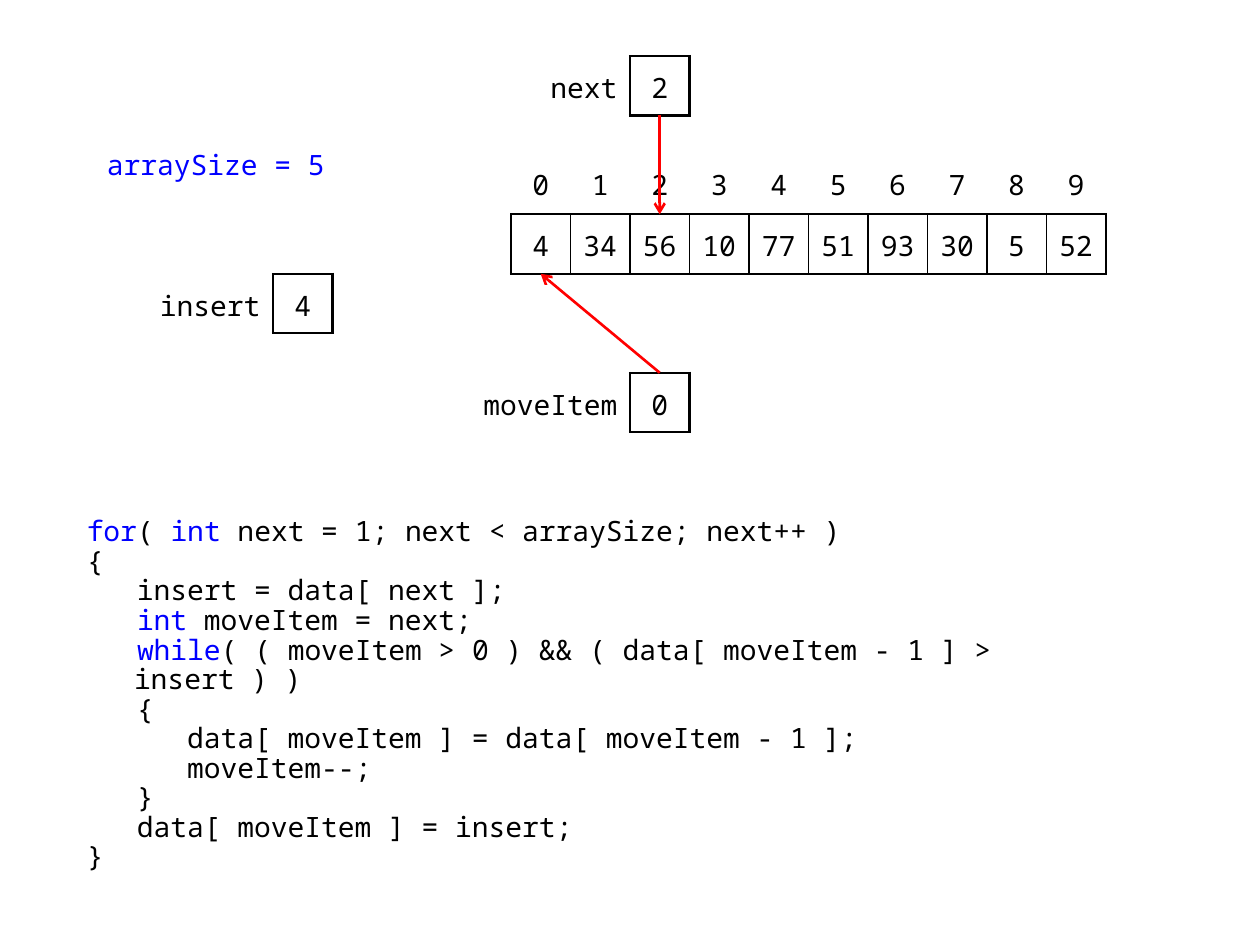
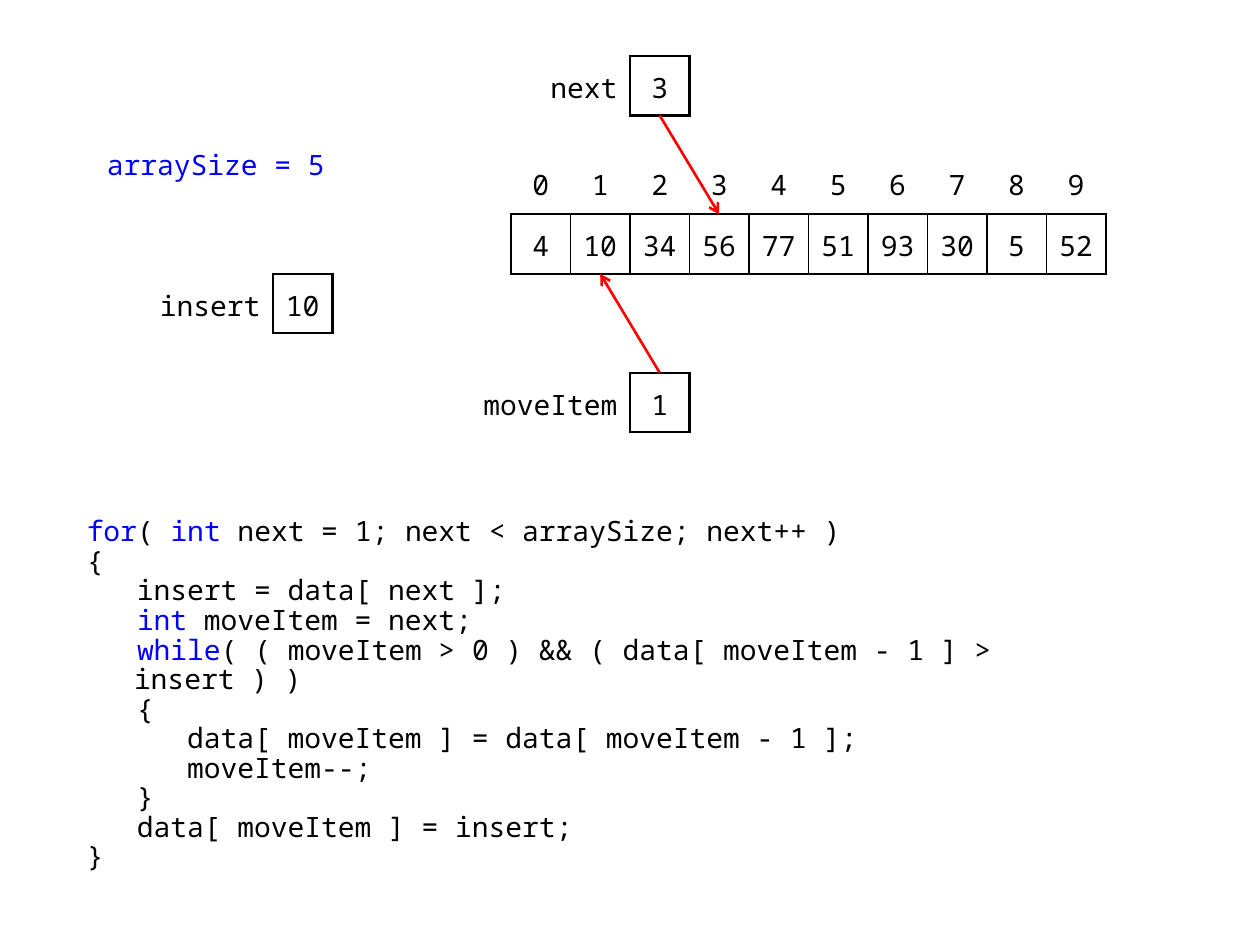
from dataclasses import dataclass
from pptx import Presentation
from pptx.dml.color import RGBColor
from pptx.enum.shapes import MSO_CONNECTOR
from pptx.enum.text import MSO_ANCHOR, PP_ALIGN
from pptx.oxml.ns import qn
from pptx.util import Pt
from lxml.etree import SubElement


@dataclass(frozen=True)
class Theme:
    font: str = "Noto Sans Mono"
    size: float = 16
    black: str = "000000"
    white: str = "FFFFFF"
    blue: str = "0000FF"
    red: str = "FF0000"
    thick: float = 1.5
    thin: float = 1
    lead: float = 0.88


UNIT = 34
LEFT, TOP = 292, 88.5
BASE = TOP + 2 * UNIT
BOX = LEFT + 2 * UNIT
NEXT, MOVE = 32, 213

# Keywords stand between backticks.
CODE = """`for`( `int` next = 1; next < arraySize; next++ )
{
   insert = data[ next ];
   `int` moveItem = next;
   `while`( ( moveItem > 0 ) && ( data[ moveItem - 1 ] > insert ) )
   {
      data[ moveItem ] = data[ moveItem - 1 ];
      moveItem--;
   }
   data[ moveItem ] = insert;
}"""


class Deck:
    def __init__(self, theme):
        self.theme = theme
        self.prs = Presentation()
        self.prs.slide_width, self.prs.slide_height = Pt(720), Pt(540)

    def page(self):
        self.slide = self.prs.slides.add_slide(self.prs.slide_layouts[6])

    def style(self, run, color):
        font = run.font
        font.name, font.size = self.theme.font, Pt(self.theme.size)
        font.color.rgb = RGBColor.from_string(color)

    def frame(self, left, top, width, height):
        box = self.slide.shapes.add_textbox(Pt(left), Pt(top), Pt(width), Pt(height))
        box.text_frame.word_wrap = True
        return box.text_frame

    def title(self, text):
        frame = self.frame(54, 77, 181, UNIT)
        frame.vertical_anchor = MSO_ANCHOR.MIDDLE
        frame.text = text
        self.style(frame.paragraphs[0].runs[0], self.theme.blue)

    def code(self, text):
        frame = self.frame(42.5, 292.5, 635, 215)
        for i, line in enumerate(text.split("\n")):
            para = frame.add_paragraph() if i else frame.paragraphs[0]
            para.line_spacing = self.theme.lead
            props = para._p.get_or_add_pPr()
            props.set("marL", str(int(Pt(27))))
            props.set("indent", str(int(Pt(-27))))
            for j, part in enumerate(line.split("`")):
                if part:
                    run = para.add_run()
                    run.text = part
                    self.style(run, self.theme.blue if j % 2 else self.theme.black)

    def grid(self, left, top, widths, rows):
        shape = self.slide.shapes.add_table(
            rows, len(widths), Pt(left), Pt(top), Pt(sum(widths)), Pt(rows * UNIT))
        table = shape.table
        table.first_row = table.horz_banding = False
        for col, width in zip(table.columns, widths):
            col.width = Pt(width)
        for row in table.rows:
            row.height = Pt(UNIT)
        return table

    def cell(self, cell, text, edges, align=PP_ALIGN.CENTER, base=1.5, fill=True):
        """Fill one cell; edges maps the sides L, R, T, B to line widths."""
        cell.text = str(text)
        para = cell.text_frame.paragraphs[0]
        para.alignment = align
        self.style(para.runs[0], self.theme.black)
        cell.vertical_anchor = MSO_ANCHOR.MIDDLE
        cell.margin_left = cell.margin_right = Pt(6 if align == PP_ALIGN.CENTER else 7.2)
        cell.margin_top, cell.margin_bottom = Pt(3.6), Pt(base)
        props = cell._tc.get_or_add_tcPr()
        for side in "LRTB":
            if side in edges:
                line = SubElement(props, qn("a:ln" + side), w=str(int(Pt(edges[side]))))
                solid = SubElement(line, qn("a:solidFill"))
                SubElement(solid, qn("a:srgbClr"), val=self.theme.black)
        if fill:
            cell.fill.solid()
            cell.fill.fore_color.rgb = RGBColor.from_string(self.theme.white)
        else:
            cell.fill.background()

    def array(self, data):
        """Draw the indexes above the row of values."""
        thick, thin = self.theme.thick, self.theme.thin
        table = self.grid(LEFT, TOP, [UNIT] * len(data), 2)
        last = len(data) - 1
        for i, value in enumerate(data):
            self.cell(table.cell(0, i), i, {"B": thick}, base=3.6, fill=False)
            self.cell(table.cell(1, i), value, {
                "L": thin if i else thick, "R": thin if i < last else thick,
                "T": thick, "B": thick})

    def field(self, name, value, left, top, width):
        """Draw a named box whose value cell starts at left."""
        thick = self.theme.thick
        table = self.grid(left - width, top, [width, UNIT], 1)
        self.cell(table.cell(0, 0), name, {"R": thick}, PP_ALIGN.RIGHT, fill=False)
        self.cell(table.cell(0, 1), value, dict.fromkeys("LRTB", thick), fill=False)

    def arrow(self, top, index, end):
        """Point from the middle of a box to an array slot."""
        link = self.slide.shapes.add_connector(
            MSO_CONNECTOR.STRAIGHT, Pt(BOX + UNIT / 2), Pt(top),
            Pt(LEFT + (index + 0.5) * UNIT), Pt(end))
        link.line.width = Pt(self.theme.thick)
        link.line.color.rgb = RGBColor.from_string(self.theme.red)
        props = link._element.spPr
        SubElement(props.find(qn("a:ln")), qn("a:tailEnd"), type="arrow")
        SubElement(props, qn("a:effectLst"))

    def step(self, data, next_, move, insert):
        """Draw one pass of the insertion sort."""
        self.page()
        self.array(data)
        self.field("next", next_, BOX, NEXT, 68)
        self.field("moveItem", move, BOX, MOVE, 102)
        self.field("insert", insert, 156, BASE, 79)
        self.title("arraySize = 5")
        self.code(CODE)
        self.arrow(NEXT + UNIT, next_, TOP + UNIT)
        self.arrow(MOVE, move, BASE)


def main():
    deck = Deck(Theme())
    rest = [77, 51, 93, 30, 5, 52]
    deck.step([4, 34, 56, 10] + rest, next_=2, move=0, insert=4)
    deck.step([4, 10, 34, 56] + rest, next_=3, move=1, insert=10)
    deck.prs.save("out.pptx")


if __name__ == "__main__":
    main()
